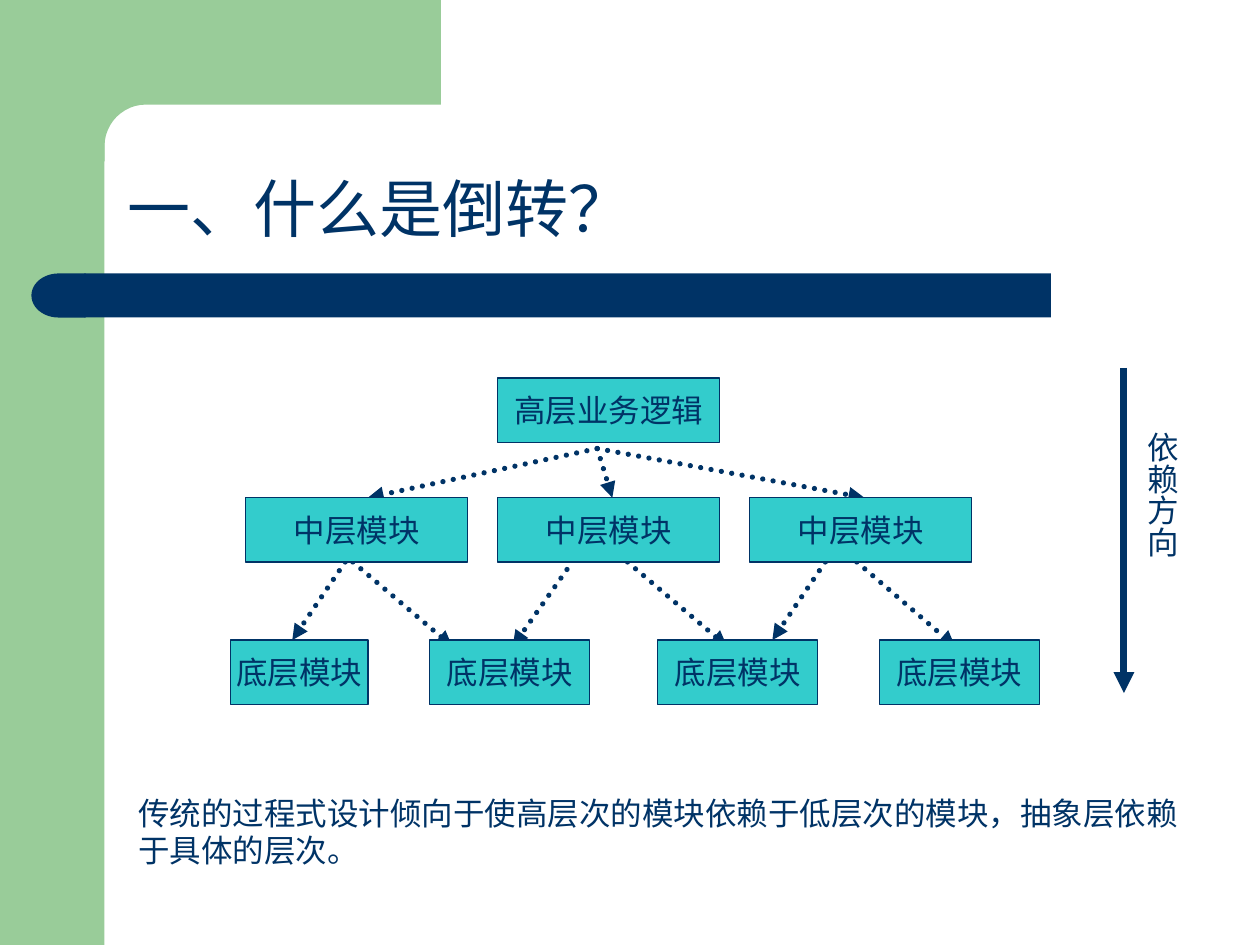
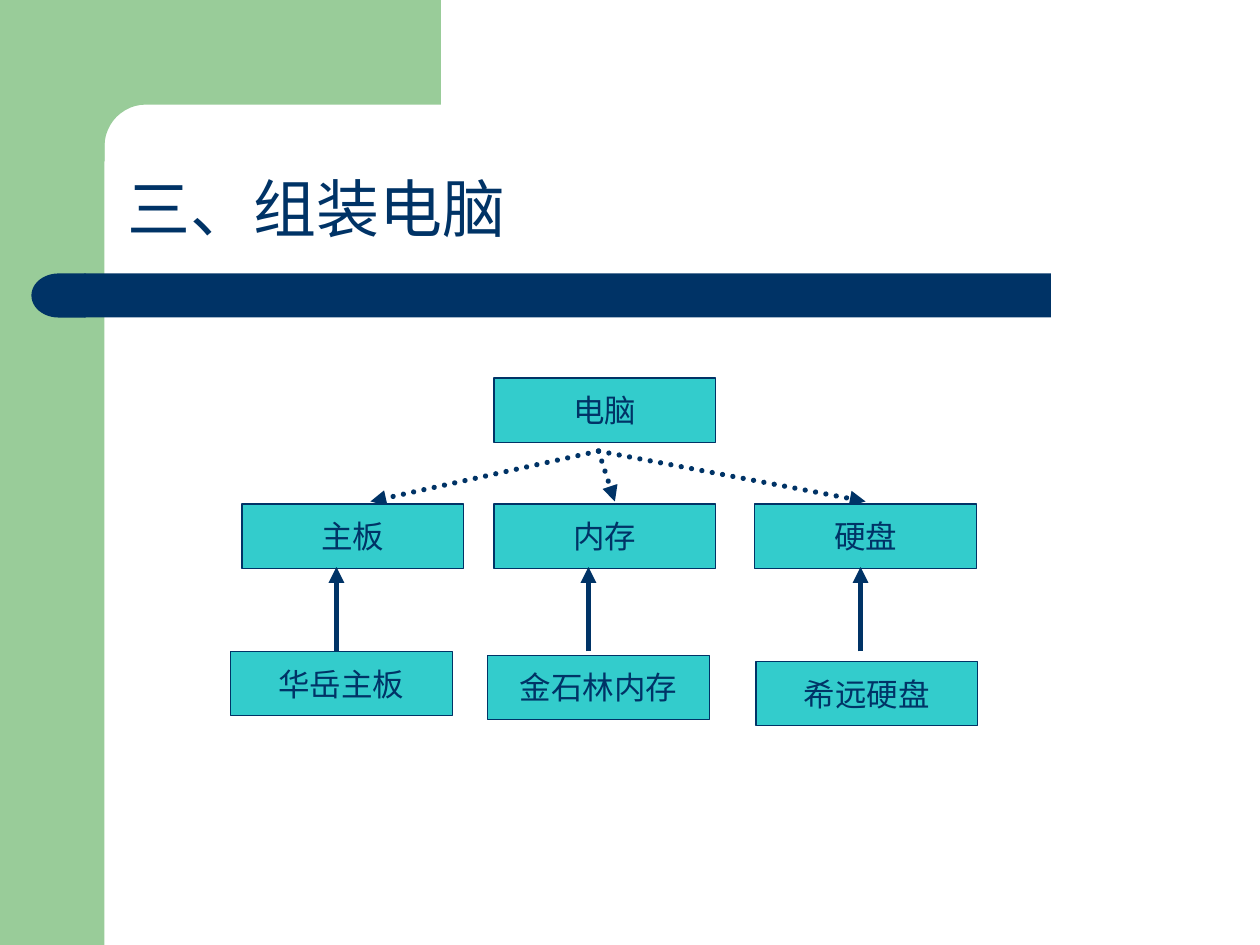
import math

from lxml import etree
from pptx import Presentation
from pptx.dml.color import RGBColor
from pptx.enum import dml, shapes, text
from pptx.oxml import ns
from pptx.util import Inches, Pt

COLORS = {"navy": "003366", "green": "99CC99", "teal": "33CCCC"}
FONT = "Arial"
BOX_W, BOX_H = 1.76, 0.51


def color(key):
    return RGBColor.from_string(COLORS[key])


def style_paragraph(paragraph, size, align=text.PP_ALIGN.LEFT):
    paragraph.alignment = align
    paragraph.font.name = FONT
    paragraph.font.size = Pt(size)
    paragraph.font.color.rgb = color("navy")


def paint(shape, fill):
    shape.shadow.inherit = False
    shape.fill.solid()
    shape.fill.fore_color.rgb = color(fill)
    shape.line.fill.background()


def add_block(slide, kind, left, top, width, height, fill):
    block = slide.shapes.add_shape(
        kind, Inches(left), Inches(top), Inches(width), Inches(height))
    paint(block, fill)
    return block


def add_box(slide, label, left, top, width=BOX_W):
    box = add_block(slide, shapes.MSO_SHAPE.RECTANGLE,
                    left, top, width, BOX_H, "teal")
    box.line.color.rgb = color("navy")
    box.line.width = Pt(0.75)
    frame = box.text_frame
    frame.word_wrap = False
    frame.vertical_anchor = text.MSO_ANCHOR.MIDDLE
    frame.text = label
    style_paragraph(frame.paragraphs[0], 18, text.PP_ALIGN.CENTER)


def add_arrow(slide, start, end, width=3, dotted=False):
    arrow = slide.shapes.add_connector(
        shapes.MSO_CONNECTOR.STRAIGHT, *map(Inches, (*start, *end)))
    arrow.line.color.rgb = color("navy")
    arrow.line.width = Pt(width)
    outline = arrow.line._get_or_add_ln()
    if dotted:
        arrow.line.dash_style = dml.MSO_LINE.ROUND_DOT
        outline.set("cap", "rnd")
    etree.SubElement(outline, ns.qn("a:tailEnd"), type="triangle")
    etree.SubElement(arrow._element.spPr, ns.qn("a:effectLst"))


def add_fan(slide, start, ends):
    for end in ends:
        add_arrow(slide, start, end, dotted=True)


def add_text(slide, lines, left, top, width, height):
    box = slide.shapes.add_textbox(
        Inches(left), Inches(top), Inches(width), Inches(height))
    frame = box.text_frame
    frame.word_wrap = False
    frame.text = "\n".join(lines)
    for paragraph in frame.paragraphs:
        style_paragraph(paragraph, 18)
    return frame


def add_background(slide):
    # Green side band and top band with a rounded inner corner
    add_block(slide, shapes.MSO_SHAPE.RECTANGLE, 0, 0, 0.83, 7.5, "green")
    center, radius = 1.16, 0.33
    corner = []
    for step in range(13):
        angle = math.pi / 2 * step / 12
        corner.append((Inches(center - radius * math.sin(angle)),
                       Inches(center - radius * math.cos(angle))))
    builder = slide.shapes.build_freeform(Inches(3.5), 0)
    builder.add_line_segments(
        [(Inches(3.5), Inches(0.83)), *corner, (Inches(0.83), Inches(1.28)),
         (Inches(0.5), Inches(1.28)), (Inches(0.5), 0)])
    paint(builder.convert_to_shape(), "green")

    # Navy bar under the title with a round left end
    add_block(slide, shapes.MSO_SHAPE.RECTANGLE, 0.67, 2.17, 7.67, 0.35, "navy")
    cap = add_block(slide, shapes.MSO_SHAPE.FLOWCHART_DELAY,
                    0.25, 2.17, 0.43, 0.35, "navy")
    cap._element.spPr.get_or_add_xfrm().set("flipH", "1")


def add_titled_slide(prs, heading):
    slide = prs.slides.add_slide(prs.slide_layouts[5])
    add_background(slide)
    title = slide.shapes.title
    title.left, title.top = Inches(0.91), Inches(0.91)
    title.width, title.height = Inches(8.51), Inches(1.09)
    frame = title.text_frame
    frame.text = heading
    frame.auto_size = text.MSO_AUTO_SIZE.NONE
    frame.vertical_anchor = text.MSO_ANCHOR.BOTTOM
    style_paragraph(frame.paragraphs[0], 36)
    frame.paragraphs[0].line_spacing = 0.9
    return slide


def build_inversion(prs):
    slide = add_titled_slide(prs, "一、什么是倒转？")

    # Dependencies between the layers
    add_fan(slide, (4.74, 3.56), [(6.86, 3.95), (4.86, 3.95), (2.92, 3.95)])
    for start, end in [((2.74, 4.46), (2.32, 5.08)), ((2.8, 4.46), (3.59, 5.13)),
                       ((4.5, 4.52), (4.07, 5.13)), ((4.98, 4.46), (5.77, 5.13)),
                       ((6.55, 4.46), (6.13, 5.08)), ((6.8, 4.46), (7.58, 5.13))]:
        add_arrow(slide, start, end, dotted=True)

    # Three layers of modules
    add_box(slide, "高层业务逻辑", 3.95, 3)
    for column in range(3):
        add_box(slide, "中层模块", 1.95 + 2 * column, 3.95)
    for left, width in [(1.83, 1.09), (3.41, 1.27), (5.22, 1.27), (6.98, 1.27)]:
        add_box(slide, "底层模块", left, 5.08, width)

    # Summary
    add_text(slide, ["传统的过程式设计倾向于使高层次的模块依赖于低层次的模块，抽象层依赖",
                     "于具体的层次。"], 1, 6.25, 8.45, 0.7)

    # Direction of dependency
    add_arrow(slide, (8.92, 2.92), (8.92, 5.5), width=4)
    direction = add_text(slide, ["依赖方向"], 8.92, 3.33, 0.5, 1.1)
    direction.margin_left = direction.margin_right = Inches(0.05)
    direction.margin_top = direction.margin_bottom = Inches(0.1)
    direction._txBody.bodyPr.set("vert", "eaVert")


def build_computer(prs):
    slide = add_titled_slide(prs, "三、组装电脑")

    # Computer and its abstract parts
    add_fan(slide, (4.75, 3.58), [(6.87, 3.98), (4.88, 3.98), (2.94, 3.98)])
    add_box(slide, "电脑", 3.92, 3)
    for part, left in [("主板", 1.92), ("内存", 3.92), ("硬盘", 5.99)]:
        add_box(slide, part, left, 4)

    # Concrete products pointing up to the parts
    for product, left, top, arrow_x in [("华岳主板", 1.83, 5.17, 2.67),
                                        ("金石林内存", 3.87, 5.2, 4.67),
                                        ("希远硬盘", 6, 5.25, 6.83)]:
        add_box(slide, product, left, top)
        add_arrow(slide, (arrow_x, 5.17), (arrow_x, 4.5))


def main():
    prs = Presentation()
    prs.slide_width, prs.slide_height = Inches(10), Inches(7.5)
    build_inversion(prs)
    build_computer(prs)
    prs.save("out.pptx")


if __name__ == "__main__":
    main()
